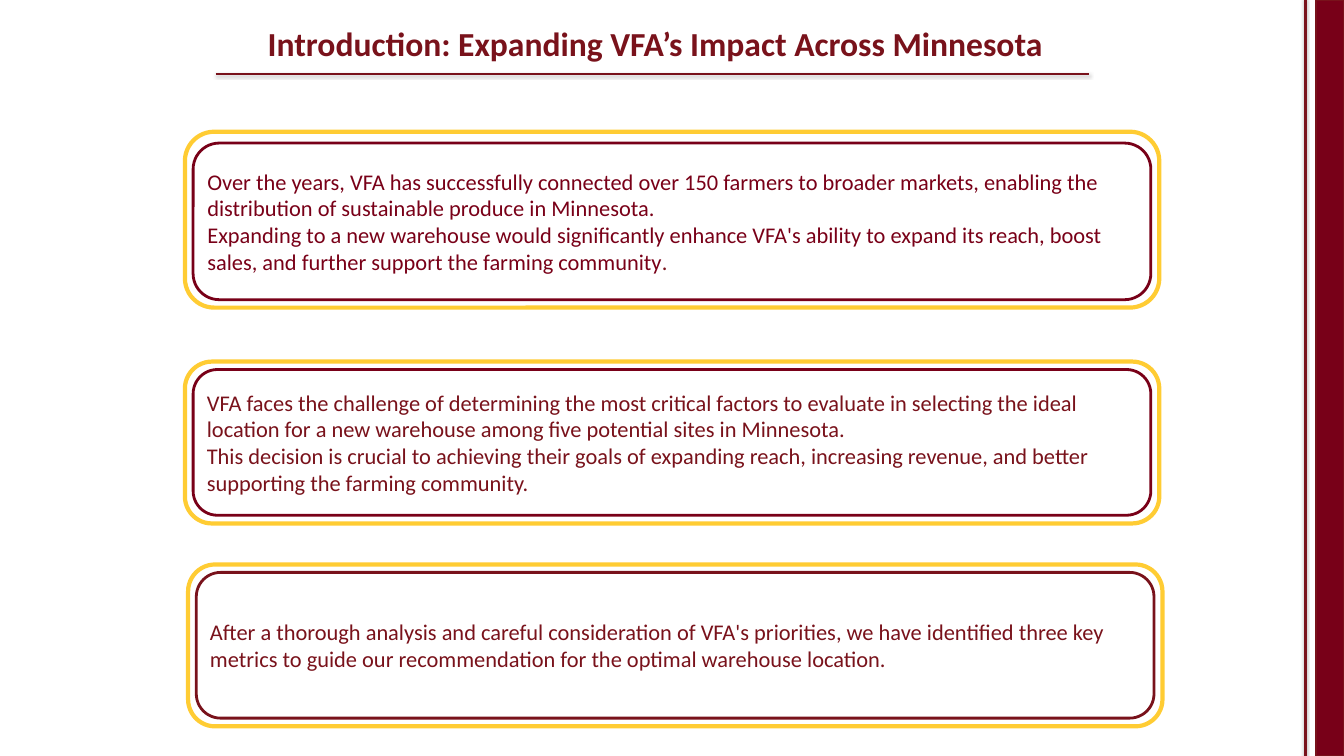
"""Build the introduction slide on VFA's impact across Minnesota."""
from lxml import etree
from pptx import Presentation
from pptx.dml.color import RGBColor
from pptx.enum.shapes import MSO_CONNECTOR, MSO_SHAPE
from pptx.enum.text import MSO_ANCHOR, PP_ALIGN
from pptx.oxml.ns import qn
from pptx.util import Cm, Pt

ROUNDED = MSO_SHAPE.ROUNDED_RECTANGLE
RECTANGLE = MSO_SHAPE.RECTANGLE
STRAIGHT = MSO_CONNECTOR.STRAIGHT
CENTER, LEFT = PP_ALIGN.CENTER, PP_ALIGN.LEFT
MIDDLE = MSO_ANCHOR.MIDDLE

WHITE = RGBColor(0xFF, 0xFF, 0xFF)
GOLD = RGBColor(0xFF, 0xCC, 0x33)
MAROON = RGBColor(0x78, 0x00, 0x18)
DARK_MAROON = RGBColor(0x79, 0x00, 0x18)
BRICK = RGBColor(0x79, 0x12, 0x1B)
FONT = "Calibri"

prs = Presentation()
prs.slide_width, prs.slide_height = Cm(50.8), Cm(28.58)
slide = prs.slides.add_slide(prs.slide_layouts[6])
shapes = slide.shapes


def add_panel(preset, left, top, width, height, fill, border, weight):
    panel = shapes.add_shape(preset, Cm(left), Cm(top), Cm(width), Cm(height))
    panel.shadow.inherit = False
    panel.fill.solid()
    panel.fill.fore_color.rgb = fill
    panel.line.color.rgb = border
    panel.line.width = Pt(weight)
    return panel


def add_rule(x1, y1, x2, y2, weight, distance, opacity):
    rule = shapes.add_connector(STRAIGHT, Cm(x1), Cm(y1), Cm(x2), Cm(y2))
    rule.line.color.rgb = BRICK
    rule.line.width = Pt(weight)
    effects = etree.SubElement(rule._element.spPr, qn("a:effectLst"))
    shadow = etree.SubElement(effects, qn("a:outerShdw"), blurRad="40000", dist=str(Pt(distance)),
                              dir="5400000", rotWithShape="0")
    black = etree.SubElement(shadow, qn("a:srgbClr"), val="000000")
    etree.SubElement(black, qn("a:alpha"), val=str(opacity * 1000))


add_panel(RECTANGLE, 49.73, 0, 1.07, 28.58, MAROON, BRICK, 2)
add_rule(49.33, -0.1, 49.33, 28.58, 3, 1.8, 35)

title = shapes.add_textbox(Cm(5.51), Cm(0.74), Cm(38.53), Cm(1.8)).text_frame
title.word_wrap = True
title.text = "Introduction: Expanding VFA’s Impact Across Minnesota"
heading = title.paragraphs[0]
heading.alignment = CENTER
heading.runs[0].font.name = FONT
heading.runs[0].font.size = Pt(36)
heading.runs[0].font.bold = True
heading.runs[0].font.color.rgb = BRICK
add_rule(8.15, 2.79, 41.17, 2.79, 2, 1.6, 38)

messages = [
    (6.99, 4.98, 6.65, 5.41, 5.92, MAROON, DARK_MAROON, [
        ["Over the years, VFA has successfully connected over 150 farmers to broader markets, "
         "enabling the distribution of sustainable produce in Minnesota."],
        ["Expanding to a new warehouse would significantly enhance VFA's ability to expand its "
         "reach, boost sales, and further support the farming community", "."]]),
    (6.99, 13.67, 6.12, 13.97, 5.51, DARK_MAROON, BRICK, [
        ["VFA faces the challenge of determining the most critical factors to evaluate in "
         "selecting the ideal location for a new warehouse among five potential sites in "
         "Minnesota.\vThis decision is crucial to achieving their goals of expanding reach, "
         "increasing revenue, and better supporting the farming community."]]),
    (7.11, 21.34, 6.12, 21.64, 5.51, BRICK, BRICK, [
        ["After a thorough analysis and careful consideration of VFA's priorities, we have "
         "identified three key metrics to guide our recommendation for the optimal warehouse "
         "location."]]),
]

for left, frame_top, frame_height, card_top, card_height, border, ink, paragraphs in messages:
    add_panel(ROUNDED, left, frame_top, 36.83, frame_height, WHITE, GOLD, 4.5)
    card = add_panel(ROUNDED, left + 0.31, card_top, 36.2, card_height, WHITE, border, 3)
    body = card.text_frame
    body.word_wrap = True
    body.vertical_anchor = MIDDLE
    body.text = "\n".join(parts[0] for parts in paragraphs)
    for paragraph, parts in zip(body.paragraphs, paragraphs):
        paragraph.alignment = LEFT
        for run in paragraph.runs:
            run.font.color.rgb = ink
        for ending in parts[1:]:
            full_stop = paragraph.add_run()
            full_stop.text = ending
            full_stop.font.color.rgb = BRICK
        for run in paragraph.runs:
            run.font.name = FONT
            run.font.size = Pt(24)

prs.save("out.pptx")
